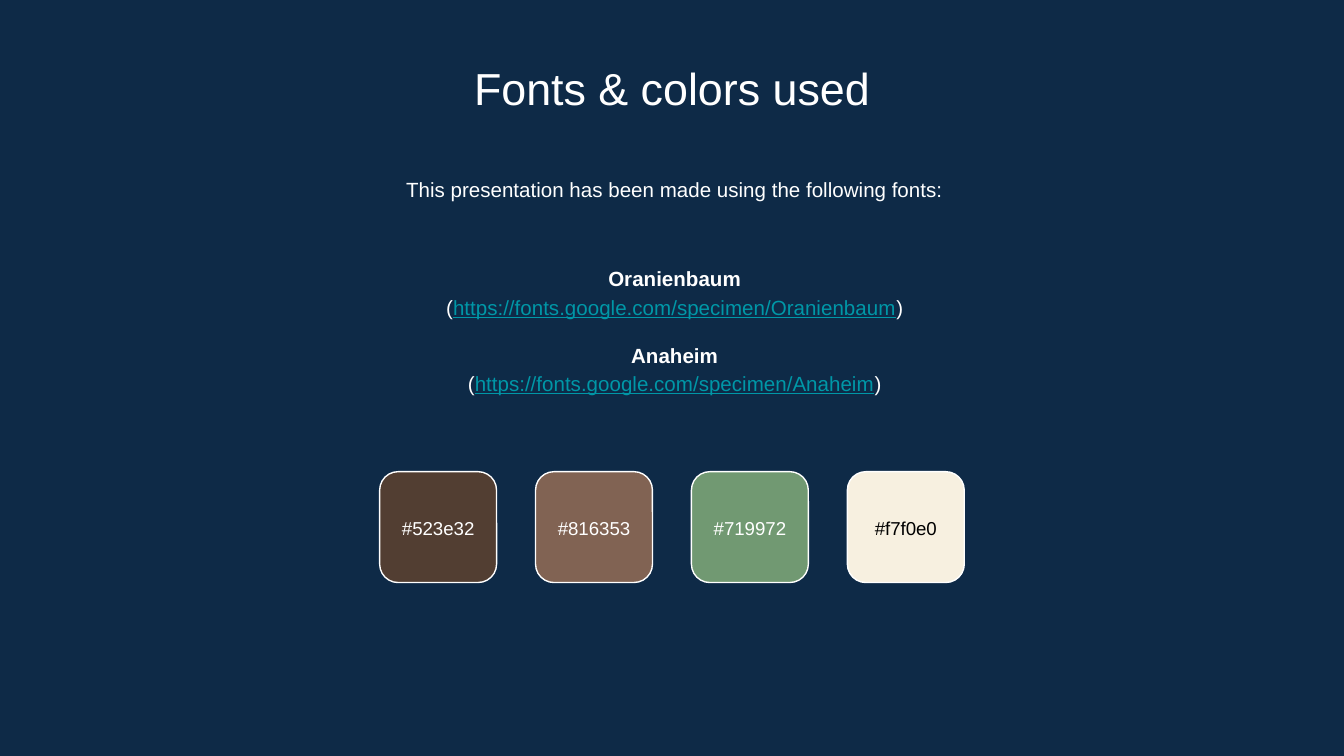
from pptx import Presentation
from pptx import util as u
from pptx.dml.color import RGBColor
from pptx.enum import shapes, text

PX = 4572
NAVY = RGBColor(0x0E, 0x2A, 0x47)
WHITE = RGBColor(0xFF, 0xFF, 0xFF)
BLACK = RGBColor(0x00, 0x00, 0x00)
TEAL = RGBColor(0x00, 0x97, 0xA7)
FONT = "Arial"
FONT_NAMES = ["Oranienbaum", "Anaheim"]
SWATCHES = [("#523e32", WHITE), ("#816353", WHITE), ("#719972", WHITE), ("#f7f0e0", BLACK)]
SWATCH_LEFT, SWATCH_STEP, SWATCH_WIDTH = 565, 232, 174


def px(*lengths):
    """Turn px lengths into EMU."""
    return [u.Emu(length * PX) for length in lengths]


def add_box(page, left, top, width, height, anchor=text.MSO_ANCHOR.TOP):
    """Add an empty wrapping text box and return its text frame."""
    frame = page.shapes.add_textbox(*px(left, top, width, height)).text_frame
    frame.word_wrap = True
    frame.vertical_anchor = anchor
    inset, = px(20)
    frame.margin_left = frame.margin_right = inset
    frame.margin_top = frame.margin_bottom = inset
    return frame


def add_span(para, words, size, color=WHITE, bold=False, underline=False):
    """Add one run to a paragraph."""
    span = para.add_run()
    span.text = words
    span.font.name = FONT
    span.font.size = u.Pt(size)
    span.font.color.rgb = color
    span.font.bold = bold
    span.font.underline = underline


def centre(para, line_spacing=1.0):
    """Centre a paragraph, set its line spacing and return it."""
    para.alignment = text.PP_ALIGN.CENTER
    para.line_spacing = line_spacing
    return para


def add_font_list(page):
    """List each font name in bold with its address below."""
    frame = add_box(page, 233, 353, 1542, 274, text.MSO_ANCHOR.MIDDLE)
    for index, name in enumerate(FONT_NAMES):
        heading = centre(frame.add_paragraph() if index else frame.paragraphs[0], 1.15)
        if index:
            heading.space_before = u.Pt(10.6)
        add_span(heading, name, 11, bold=True)
        address = centre(frame.add_paragraph(), 1.15)
        add_span(address, "(", 11)
        add_span(address, f"https://fonts.google.com/specimen/{name}", 11, TEAL, underline=True)
        add_span(address, ")", 11)


def add_swatch(page, left, code, label_color):
    """Add a rounded colour swatch with its hex code."""
    swatch = page.shapes.add_shape(
        shapes.MSO_SHAPE.ROUNDED_RECTANGLE, *px(left, 702, SWATCH_WIDTH, 165))
    swatch.shadow.inherit = False
    swatch.fill.solid()
    swatch.fill.fore_color.rgb = RGBColor.from_string(code[1:].upper())
    swatch.line.color.rgb = WHITE
    swatch.line.width = u.Pt(0.75)
    label = add_box(page, left, 738, SWATCH_WIDTH, 96, text.MSO_ANCHOR.MIDDLE)
    add_span(centre(label.paragraphs[0]), code, 10, label_color)


def main():
    """Build the fonts and colours slide."""
    deck = Presentation()
    deck.slide_width, deck.slide_height = px(2000, 1125)
    page = deck.slides.add_slide(deck.slide_layouts[6])
    page.background.fill.solid()
    page.background.fill.fore_color.rgb = NAVY

    title = add_box(page, 229, 70, 1542, 106)
    add_span(centre(title.paragraphs[0]), "Fonts & colors used", 24)
    intro = add_box(page, 233, 238, 1542, 96)
    add_span(centre(intro.paragraphs[0], 1.15),
             "This presentation has been made using the following fonts:", 11)
    add_font_list(page)
    for index, (code, label_color) in enumerate(SWATCHES):
        add_swatch(page, SWATCH_LEFT + index * SWATCH_STEP, code, label_color)

    deck.save("out.pptx")


if __name__ == "__main__":
    main()
